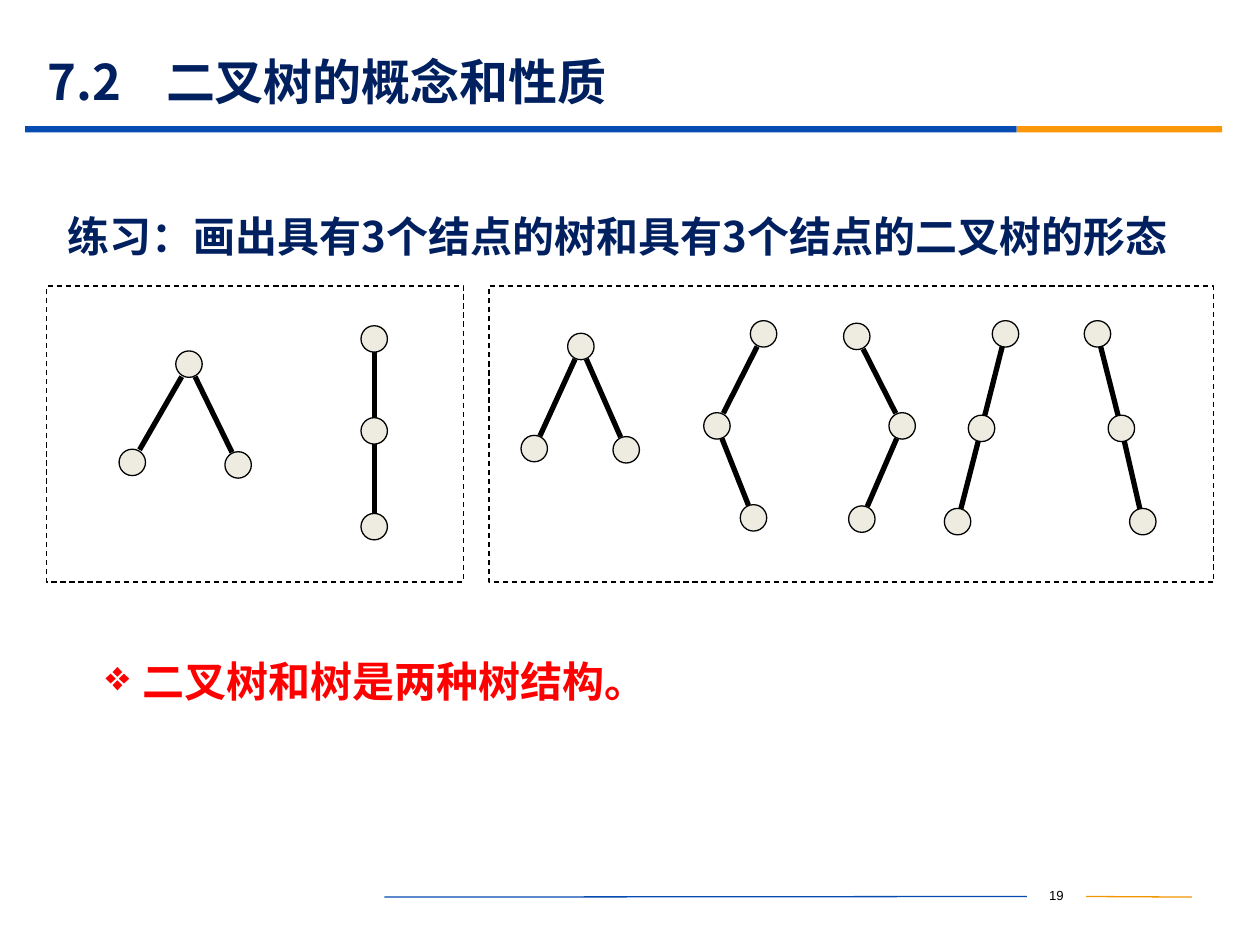
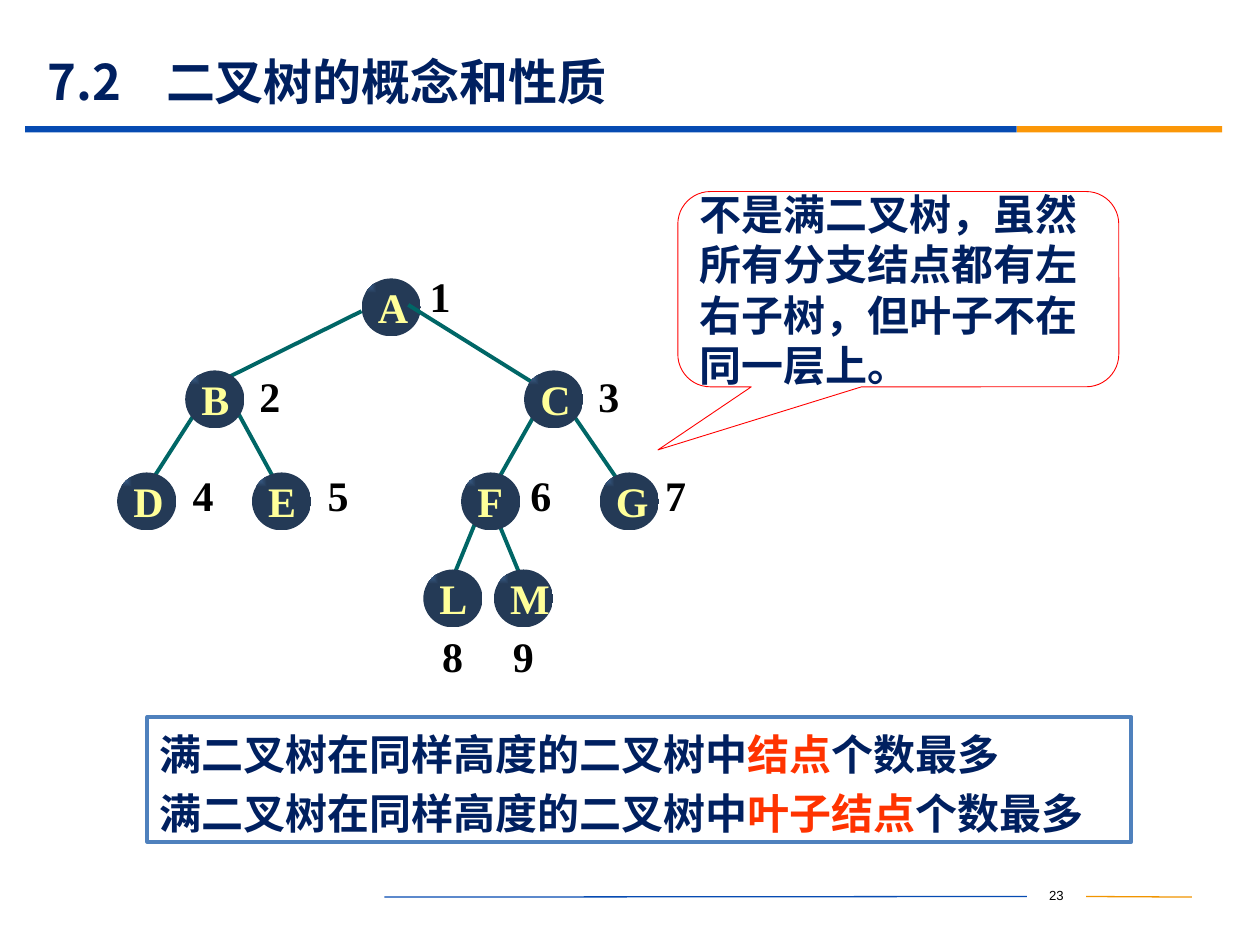
import pptx
import pptx.util
import pptx.dml.color
import pptx.enum.dml
import pptx.enum.shapes
import pptx.enum.text
import pptx.oxml
import pptx.oxml.ns
from lxml import etree

Inches = pptx.util.Inches
Pt = pptx.util.Pt
RGB = pptx.dml.color.RGBColor.from_string
SHAPE = pptx.enum.shapes.MSO_SHAPE
qn = pptx.oxml.ns.qn

COLORS = {
    "navy": "002060", "blue": "064BB2", "orange": "FB9708", "footer_orange": "F19500",
    "black": "000000", "red": "FF0000", "highlight": "FF3300", "cream": "EEECE1",
    "frame": "4F81BD", "teal": "006666", "letter": "FFFF99",
    "ball_light": "4F81BD", "ball_dark": "243A56",
}
HEADING_FONT = "Noto Sans CJK SC"
LETTER_FONT = "Times New Roman"
LINE_RATIO = 1.2


def add_box(page, kind, place, fill=None, line=None, width=0.75):
    lengths = [Inches(value) for value in place]
    if kind is None:
        box = page.shapes.add_textbox(*lengths)
    else:
        box = page.shapes.add_shape(kind, *lengths)
        box.shadow.inherit = False
        if fill:
            box.fill.solid()
            box.fill.fore_color.rgb = RGB(COLORS[fill])
        else:
            box.fill.background()
        if line:
            box.line.color.rgb = RGB(COLORS[line])
            box.line.width = Pt(width)
        else:
            box.line.fill.background()
    box.text_frame.word_wrap = True
    return box


def add_line(page, start, end, color, width):
    line = page.shapes.add_connector(
        pptx.enum.shapes.MSO_CONNECTOR.STRAIGHT, *[Inches(value) for value in (*start, *end)])
    line.line.color.rgb = RGB(COLORS[color])
    line.line.width = Pt(width)
    etree.SubElement(line._element.spPr, qn("a:effectLst"))
    return line


deck = pptx.Presentation()
deck.slide_width = Inches(10)
deck.slide_height = Inches(7.5)
pages = []

for number in ("19", "23"):
    page = deck.slides.add_slide(deck.slide_layouts[6])
    pages.append(page)

    add_box(page, SHAPE.RECTANGLE, (0.2, 1, 7.87, 0.05), fill="blue")
    add_box(page, SHAPE.RECTANGLE, (8.07, 1, 1.63, 0.05), fill="orange")

    number_box = add_box(page, None, (8.15, 6.99, 0.47, 0.25))
    para = number_box.text_frame.paragraphs[0]
    para.text = number
    para.alignment = pptx.enum.text.PP_ALIGN.CENTER
    para.font.size = Pt(7.5)
    para.font.name = "Arial"
    para.font.color.rgb = RGB(COLORS["black"])
    add_line(page, (3.05, 7.12), (8.15, 7.12), "blue", 0.75).end_connect(number_box, 1)
    add_line(page, (8.62, 7.12), (9.46, 7.12), "footer_orange", 0.75).begin_connect(number_box, 3)

    title = add_box(page, None, (0.28, 0.43, 9, 0.43))
    title.text_frame.vertical_anchor = pptx.enum.text.MSO_ANCHOR.MIDDLE
    para = title.text_frame.paragraphs[0]
    para.text = "7.2\t二叉树的概念和性质"
    tabs = etree.SubElement(para._p.get_or_add_pPr(), qn("a:tabLst"))
    etree.SubElement(tabs, qn("a:tab"), pos=str(Inches(0.94)), algn="l")
    para.line_spacing = Pt(28 * LINE_RATIO)
    para.font.size = Pt(28)
    para.font.bold = True
    para.font.name = HEADING_FONT
    para.font.color.rgb = RGB(COLORS["navy"])

exercise_page, counter_page = pages

exercise = add_box(exercise_page, None, (0.44, 1.62, 9.12, 0.5))
exercise.text_frame.vertical_anchor = pptx.enum.text.MSO_ANCHOR.MIDDLE
exercise.text_frame.text = "练习：画出具有3个结点的树和具有3个结点的二叉树的形态"

for left, width in ((0.37, 3.31), (3.88, 5.75)):
    panel = add_box(exercise_page, SHAPE.RECTANGLE, (left, 2.27, width, 2.35), line="black")
    panel.line.dash_style = pptx.enum.dml.MSO_LINE.DASH

FORK = ((0, 1), (0, 2))
CHAIN = ((0, 1), (1, 2))
trees = [
    (FORK, [(1.5, 2.89), (1.05, 3.67), (1.89, 3.69)]),
    (CHAIN, [(2.97, 2.69), (2.97, 3.42), (2.97, 4.18)]),
    (FORK, [(4.61, 2.75), (4.24, 3.56), (4.97, 3.57)]),
    (CHAIN, [(6.06, 2.65), (5.69, 3.38), (5.98, 4.11)]),
    (CHAIN, [(6.8, 2.67), (7.16, 3.38), (6.84, 4.12)]),
    (CHAIN, [(7.98, 2.65), (7.79, 3.4), (7.6, 4.14)]),
    (CHAIN, [(8.71, 2.65), (8.9, 3.4), (9.07, 4.14)]),
]
NODE = 0.21
TRIM = 0.1
for edges, centers in trees:
    for parent, child in edges:
        (x1, y1), (x2, y2) = centers[parent], centers[child]
        shift = TRIM * (x2 - x1) / (y2 - y1)
        add_line(exercise_page, (x1 + shift, y1 + TRIM), (x2 - shift, y2 - TRIM), "black", 3)
    for x, y in centers:
        add_box(exercise_page, SHAPE.OVAL, (x - NODE / 2, y - NODE / 2, NODE, NODE),
                fill="cream", line="black")

conclusion = add_box(exercise_page, None, (0.74, 5.15, 7.74, 0.51))
conclusion.text_frame.text = "二叉树和树是两种树结构。"
properties = conclusion.text_frame.paragraphs[0]._p.get_or_add_pPr()
properties.set("marL", str(Inches(0.29)))
properties.set("indent", str(-Inches(0.29)))
etree.SubElement(properties, qn("a:buChar"), char="❖")

callout = add_box(counter_page, SHAPE.ROUNDED_RECTANGULAR_CALLOUT, (5.38, 1.52, 3.5, 1.55),
                  line="red", width=0.5)
for index, value in enumerate((-0.545, 0.823, 0.167)):
    callout.adjustments[index] = value
callout.text_frame.vertical_anchor = pptx.enum.text.MSO_ANCHOR.MIDDLE
callout.text_frame.text = "不是满二叉树，虽然所有分支结点都有左右子树，但叶子不在同一层上。"

summary = add_box(counter_page, SHAPE.RECTANGLE, (1.17, 5.69, 7.81, 0.99),
                  line="frame", width=2.25)
summary.text_frame.vertical_anchor = pptx.enum.text.MSO_ANCHOR.TOP
summary.text_frame.margin_top = Inches(0.09)
for index, keyword in enumerate(("结点", "叶子结点")):
    para = summary.text_frame.add_paragraph() if index else summary.text_frame.paragraphs[0]
    if index:
        para.space_before = Pt(4.8)
    for words in ("满二叉树在同样高度的二叉树中", keyword, "个数最多"):
        span = para.add_run()
        span.text = words
        if words == keyword:
            span.font.color.rgb = RGB(COLORS["highlight"])

for box, color in ((exercise, "navy"), (conclusion, "red"), (callout, "navy"), (summary, "navy")):
    for para in box.text_frame.paragraphs:
        para.alignment = pptx.enum.text.PP_ALIGN.LEFT
        para.line_spacing = Pt(24 * LINE_RATIO)
        para.font.size = Pt(24)
        para.font.bold = True
        para.font.name = HEADING_FONT
        para.font.color.rgb = RGB(COLORS[color])

balls = [
    ("A", 2.87, 2.21), ("B", 1.47, 2.94), ("C", 4.16, 2.94), ("D", 0.93, 3.75),
    ("E", 2, 3.75), ("F", 3.66, 3.75), ("G", 4.76, 3.75), ("L", 3.36, 4.52), ("M", 3.92, 4.52),
]
branches = [
    ((2.87, 2.47), (1.78, 3.01)), ((3.24, 2.42), (4.25, 3.05)),
    ((1.56, 3.26), (1.22, 3.79)), ((1.88, 3.26), (2.17, 3.79)),
    ((4.25, 3.28), (3.95, 3.81)), ((4.54, 3.28), (4.89, 3.79)),
    ((3.78, 4.13), (3.6, 4.57)), ((3.94, 4.11), (4.13, 4.57)),
]
order_places = [
    (3.41, 2.13), (2.06, 2.92), (4.75, 2.92), (1.53, 3.71), (2.6, 3.71),
    (4.21, 3.71), (5.28, 3.71), (3.51, 4.98), (4.07, 4.98),
]
stops = "".join(
    f'<a:gs pos="{position}"><a:srgbClr val="{COLORS[color]}"/></a:gs>'
    for position, color in ((0, "ball_light"), (50000, "ball_dark"), (100000, "ball_dark")))
gradient = (
    f'<a:gradFill {pptx.oxml.ns.nsdecls("a")} rotWithShape="1"><a:gsLst>{stops}</a:gsLst>'
    '<a:path path="rect"><a:fillToRect r="100000" b="100000"/></a:path></a:gradFill>')

labels = []
for letter, left, top in balls:
    ball = add_box(counter_page, SHAPE.OVAL, (left, top, 0.47, 0.46))
    no_fill = ball._element.spPr.find(qn("a:noFill"))
    no_fill.getparent().replace(no_fill, pptx.oxml.parse_xml(gradient))
    labels.append((ball, letter, "letter", 0.06, 0, 0.9))
    if letter == "A":
        for start, end in branches:
            add_line(counter_page, start, end, "teal", 2.25)

for order, (left, top) in enumerate(order_places, 1):
    box = add_box(counter_page, None, (left, top, 0.27, 0.39))
    labels.append((box, str(order), "black", 0, 0.02, 1.0))

for box, text, color, inset_left, inset_top, spacing in labels:
    frame = box.text_frame
    frame.vertical_anchor = pptx.enum.text.MSO_ANCHOR.TOP
    frame.margin_left = Inches(inset_left)
    frame.margin_top = Inches(inset_top)
    frame.margin_right = frame.margin_bottom = 0
    para = frame.paragraphs[0]
    para.text = text
    para.alignment = pptx.enum.text.PP_ALIGN.LEFT
    para.line_spacing = spacing
    para.font.size = Pt(24)
    para.font.bold = True
    para.font.name = LETTER_FONT
    para.font.color.rgb = RGB(COLORS[color])

deck.save("out.pptx")
